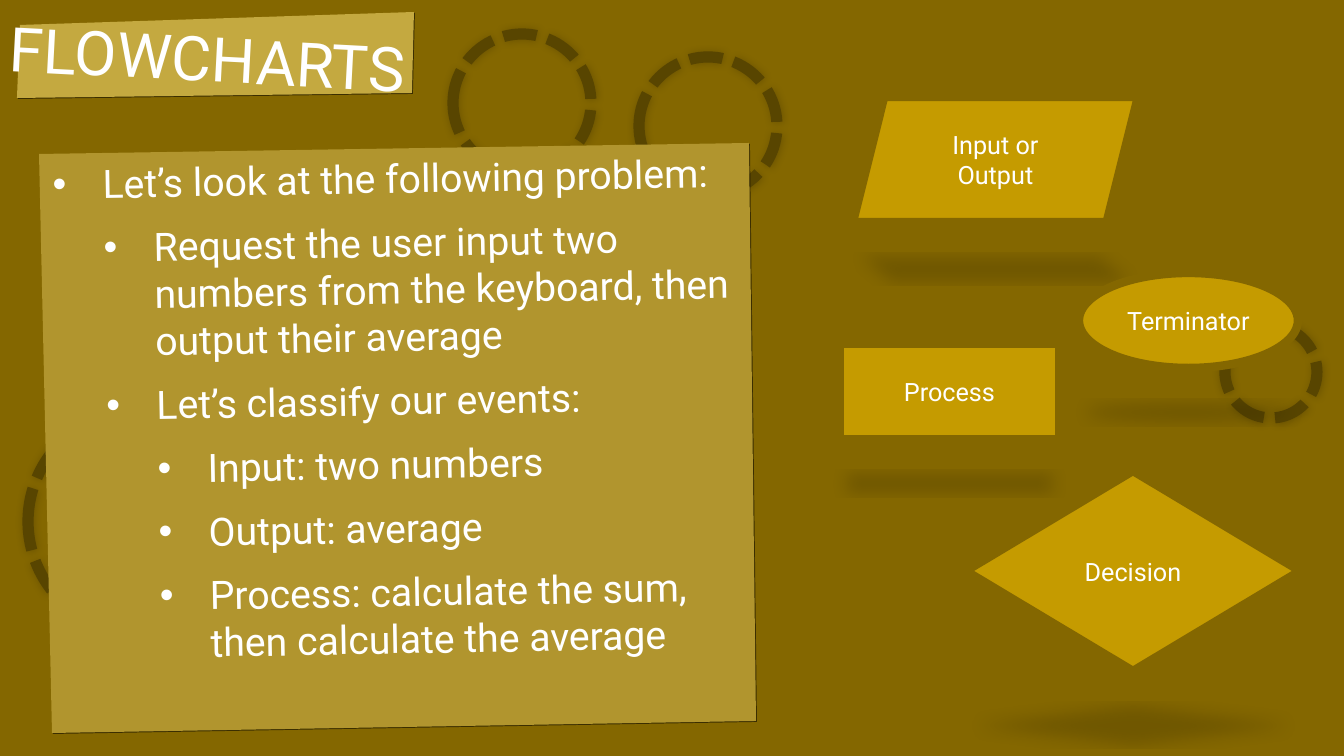
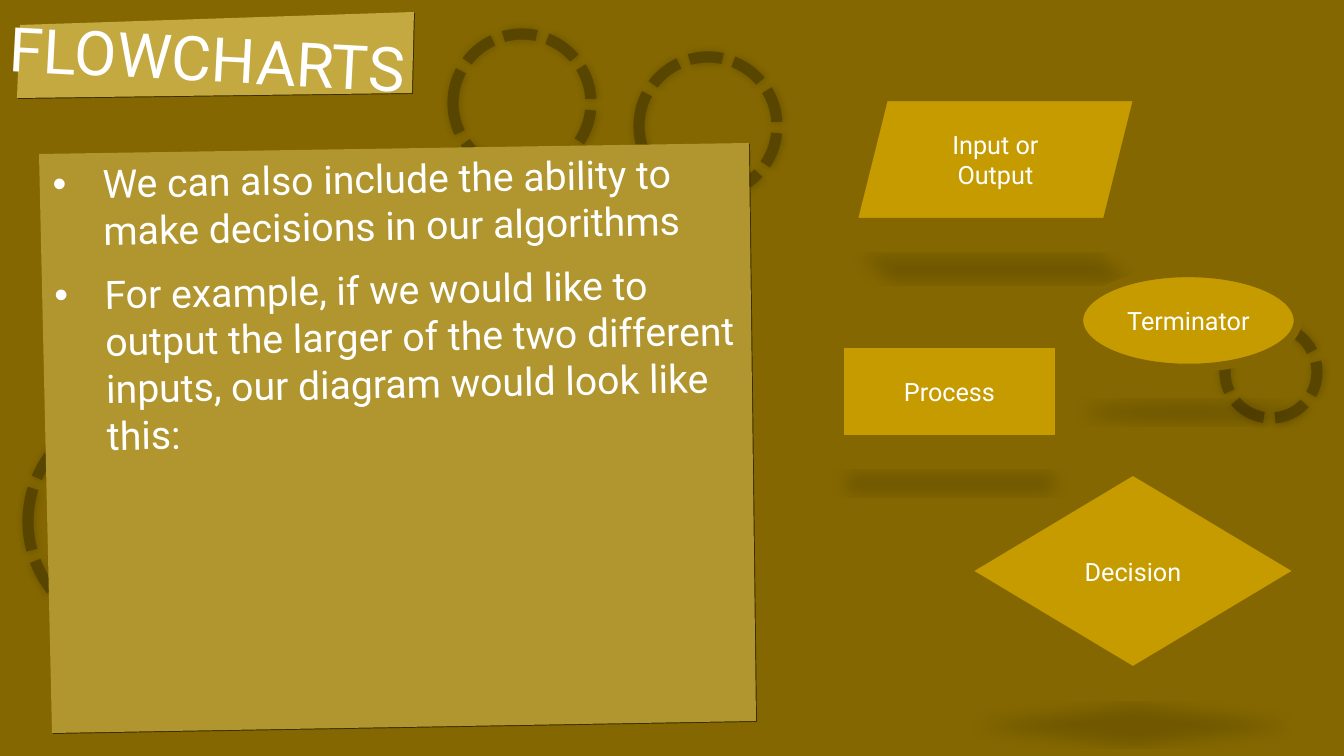
from pptx import Presentation
from pptx.dml.color import RGBColor
from pptx.enum.dml import MSO_LINE
from pptx.enum.shapes import MSO_SHAPE as Preset
from pptx.enum.text import MSO_ANCHOR as Anchor, MSO_AUTO_SIZE as AutoSize, PP_ALIGN as Align
from pptx.oxml.ns import qn
from pptx.util import Emu, Pt
from lxml.etree import SubElement

OLIVE = RGBColor(0x84, 0x67, 0x00)
BROWN = RGBColor(0x58, 0x45, 0x00)
GOLD = RGBColor(0xC5, 0x9B, 0x00)
SAND = RGBColor(0xB1, 0x95, 0x2E)
PALE_SAND = RGBColor(0xC4, 0xA9, 0x40)
WHITE = RGBColor(0xFF, 0xFF, 0xFF)
FONT = "Roboto"
EMU_PER_PX = 12192000 / 1344
INDENT = 50

CIRCLES = [(1225, 326, 92), (639, 57, 138), (28, 410, 223), (453, 34, 138)]
BODY_PANEL = [(39, 154), (749, 143), (756, 721), (52, 733)]
TITLE_PANEL = [(20, 25), (414, 12), (412, 93), (17, 98)]
SYMBOLS = [
    (Preset.RECTANGLE, (840, 344, 219, 95), "Process"),
    (Preset.PARALLELOGRAM, (853, 97, 285, 125), "Input or\nOutput"),
    (Preset.DIAMOND, (966, 471, 334, 200), "Decision"),
    (Preset.OVAL, (1079, 273, 219, 95), "Terminator"),
]
SLIDES = [
    [
        (0, "Let’s look at the following problem:"),
        (1, "Request the user input two numbers from the keyboard, then output their average"),
        (1, "Let’s classify our events:"),
        (2, "Input: two numbers"),
        (2, "Output: average"),
        (2, "Process: calculate the sum, then calculate the average"),
    ],
    [
        (0, "We can also include the ability to make decisions in our algorithms"),
        (0, "For example, if we would like to output the larger of the two different "
            "inputs, our diagram would look like this:"),
    ],
]


def px(length):
    """Turn pixels into EMU."""
    return Emu(round(length * EMU_PER_PX))


def set_shadow(shape, opacity, blur, distance, angle, **scale):
    """Give a shape one outer black shadow."""
    shape.shadow.inherit = False
    effects = shape.element.spPr.find(qn("a:effectLst"))
    shadow = SubElement(effects, qn("a:outerShdw"), blurRad=str(Pt(blur)),
                        dist=str(Pt(distance)), dir=str(angle * 60000),
                        rotWithShape="0", **scale)
    black = SubElement(shadow, qn("a:srgbClr"), val="000000")
    SubElement(black, qn("a:alpha"), val=str(opacity * 1000))


def set_font(para, size):
    """Set the shared typeface and colour on a paragraph."""
    para.font.name = FONT
    para.font.size = Pt(size)
    para.font.color.rgb = WHITE


def add_circle(page, left, top, size):
    """Draw a dashed ring."""
    ring = page.shapes.add_shape(Preset.OVAL, px(left), px(top), px(size), px(size))
    ring.fill.background()
    ring.line.color.rgb = BROWN
    ring.line.width = Pt(8)
    ring.line.dash_style = MSO_LINE.SQUARE_DOT
    set_shadow(ring, 20, 6, 1, 45)


def add_panel(page, corners, color):
    """Draw a crooked paper panel."""
    first, *others = [(px(x), px(y)) for x, y in corners]
    builder = page.shapes.build_freeform(*first)
    builder.add_line_segments(others, close=True)
    panel = builder.convert_to_shape()
    panel.fill.solid()
    panel.fill.fore_color.rgb = color
    panel.line.fill.background()
    set_shadow(panel, 55, 0, 1, 45)


def place_text(page, holder, bounds, rotation, anchor):
    """Bring a placeholder to the front, tilted, and return its text frame."""
    page.shapes.element.append(holder.element)
    holder.left, holder.top, holder.width, holder.height = map(px, bounds)
    holder.rotation = rotation
    frame = holder.text_frame
    frame.word_wrap = True
    frame.auto_size = AutoSize.NONE
    frame.vertical_anchor = anchor
    return frame


def add_title(page, text):
    """Fill the tilted title on a single line."""
    frame = place_text(page, page.shapes.title, (0, 17, 415, 80), 3, Anchor.MIDDLE)
    frame.margin_left = frame.margin_right = 0
    frame.text = text
    para = frame.paragraphs[0]
    para.alignment = Align.CENTER
    set_font(para, 44)


def add_list(page, items):
    """Fill the tilted body with bullets at their levels."""
    frame = place_text(page, page.placeholders[1], (47, 149, 708, 579), -1, Anchor.TOP)
    for index, (level, text) in enumerate(items):
        para = frame.add_paragraph() if index else frame.paragraphs[0]
        para.text = text
        para.level = level
        para.space_before = Pt(12 if index else 0)
        properties = para._p.get_or_add_pPr()
        properties.set("marL", str(px(INDENT * (level + 1))))
        properties.set("indent", str(-px(INDENT)))
        SubElement(properties, qn("a:buFont"), typeface="Arial")
        SubElement(properties, qn("a:buChar"), char="•")
        set_font(para, 28)


def add_symbol(page, preset, bounds, text):
    """Draw a labelled flowchart symbol with a shadow beneath it."""
    symbol = page.shapes.add_shape(preset, *map(px, bounds))
    symbol.fill.solid()
    symbol.fill.fore_color.rgb = GOLD
    symbol.line.color.rgb = OLIVE
    symbol.line.width = Pt(6)
    set_shadow(symbol, 15, 12, 25, 90, sx="90000", sy="-19000")
    frame = symbol.text_frame
    frame.text = text
    frame.vertical_anchor = Anchor.MIDDLE
    for para in frame.paragraphs:
        para.alignment = Align.CENTER
        set_font(para, 18)


def add_page(deck, items):
    """Build one flowchart slide."""
    page = deck.slides.add_slide(deck.slide_layouts[1])
    for circle in CIRCLES:
        add_circle(page, *circle)
    add_panel(page, BODY_PANEL, SAND)
    add_list(page, items)
    add_panel(page, TITLE_PANEL, PALE_SAND)
    add_title(page, "FLOWCHARTS")
    for symbol in SYMBOLS:
        add_symbol(page, *symbol)


def main():
    """Build and save the deck."""
    deck = Presentation()
    deck.slide_width, deck.slide_height = px(1344), px(756)
    background = deck.slide_master.background.fill
    background.solid()
    background.fore_color.rgb = OLIVE
    for items in SLIDES:
        add_page(deck, items)
    deck.save("out.pptx")


if __name__ == "__main__":
    main()
